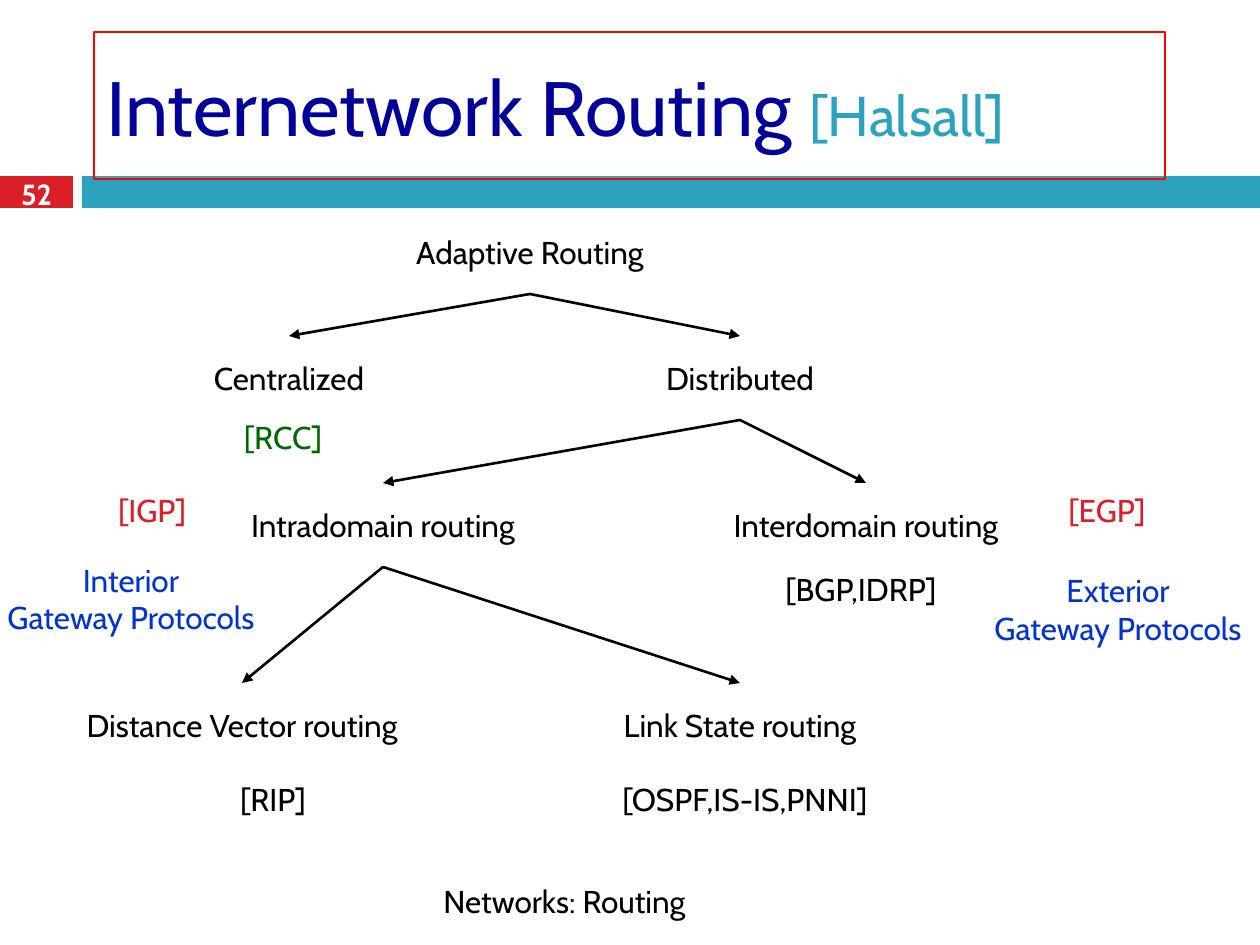
"""Build a slide showing the family tree of internetwork routing methods."""
from dataclasses import dataclass

from pptx import Presentation
from pptx.dml.color import RGBColor
from pptx.enum.shapes import MSO_CONNECTOR, MSO_SHAPE
from pptx.enum.text import MSO_ANCHOR, PP_ALIGN
from pptx.oxml.ns import qn
from pptx.util import Emu, Pt
from lxml import etree

RECTANGLE = MSO_SHAPE.RECTANGLE
STRAIGHT = MSO_CONNECTOR.STRAIGHT
LEFT, CENTER = PP_ALIGN.LEFT, PP_ALIGN.CENTER
TOP, MIDDLE = MSO_ANCHOR.TOP, MSO_ANCHOR.MIDDLE
PX = 914400 // 126
TOP_SIDE, BOTTOM_SIDE = 0, 2


@dataclass(frozen=True)
class Theme:
    font: str = "Cabin"
    black: str = "000000"
    white: str = "FFFFFF"
    red: str = "DA1F28"
    teal: str = "2DA2BF"
    navy: str = "000099"
    blue: str = "0033CC"
    green: str = "006600"
    frame: str = "FF0000"
    title: float = 44
    source: float = 32
    body: float = 18
    number: float = 16.6


THEME = Theme()

BARS = [((0, 176, 73, 32), THEME.red), ((82, 176, 1178, 32), THEME.teal)]
TITLE_BOX = (94, 32, 1071, 147)
TITLE = [("Internetwork Routing ", THEME.title, THEME.navy),
         ("[Halsall]", THEME.source, THEME.teal)]
FOOTER, FOOTER_BOX = "Networks: Routing", (431, 876, 399, 50)
NUMBER, NUMBER_BOX = "52", (0, 173, 73, 42)

NODE_HEIGHT = 84
NODES = {
    "Adaptive Routing": (530, 210, 346),
    "Centralized": (289, 336, 346),
    "Distributed": (740, 336, 346),
    "Intradomain routing": (383, 483, 388),
    "Interdomain routing": (866, 483, 388),
    "Distance Vector routing": (242, 683, 420),
    "Link State routing": (740, 683, 388),
}
BRANCHES = {
    "Adaptive Routing": ("Centralized", "Distributed"),
    "Distributed": ("Interdomain routing", "Intradomain routing"),
    "Intradomain routing": ("Distance Vector routing", "Link State routing"),
}
NOTES = [
    (["[IGP]"], (105, 473, 94, 74), THEME.red),
    (["[EGP]"], (1060, 473, 94, 74), THEME.red),
    (["[BGP,IDRP]"], (735, 557, 252, 63), THEME.black),
    (["[OSPF,IS-IS,PNNI]"], (556, 767, 378, 63), THEME.black),
    (["[RIP]"], (210, 767, 126, 63), THEME.black),
    (["[RCC]"], (220, 410, 126, 53), THEME.green),
    (["Interior", "Gateway Protocols"], (10, 567, 242, 63), THEME.blue),
    (["Exterior", "Gateway Protocols"], (997, 567, 242, 84), THEME.blue),
]


def color(value):
    return RGBColor.from_string(value)


def scale(lengths):
    return [Emu(length * PX) for length in lengths]


def add_box(page, bounds, fill=None, line=None, width=0.75):
    box = page.shapes.add_shape(RECTANGLE, *scale(bounds))
    box.shadow.inherit = False
    if fill:
        box.fill.solid()
        box.fill.fore_color.rgb = color(fill)
    else:
        box.fill.background()
    if line:
        box.line.color.rgb = color(line)
        box.line.width = Pt(width)
    else:
        box.line.fill.background()
    return box


def write(box, lines, align=CENTER, anchor=MIDDLE, wrap=False, bold=False, before=0):
    """Write lines of (text, size, colour) spans into a box."""
    frame = box.text_frame
    frame.word_wrap = wrap
    frame.vertical_anchor = anchor
    for index, spans in enumerate(lines):
        para = frame.add_paragraph() if index else frame.paragraphs[0]
        para.alignment = align
        para.space_before = Pt(before)
        for text, size, tint in spans:
            span = para.add_run()
            span.text = text
            span.font.name = THEME.font
            span.font.size = Pt(size)
            span.font.bold = bold
            span.font.color.rgb = color(tint)


def add_arrow(page, parent, child):
    arrow = page.shapes.add_connector(STRAIGHT, 0, 0, 0, 0)
    arrow.begin_connect(parent, BOTTOM_SIDE)
    arrow.end_connect(child, TOP_SIDE)
    arrow.line.color.rgb = color(THEME.black)
    arrow.line.width = Pt(1.5)
    etree.SubElement(arrow.line._get_or_add_ln(), qn("a:tailEnd"), type="triangle")
    etree.SubElement(arrow._element.spPr, qn("a:effectLst"))


def add_header_and_footer(page):
    for bounds, fill in BARS:
        add_box(page, bounds, fill)
    footer = page.shapes.add_textbox(*scale(FOOTER_BOX))
    write(footer, [[(FOOTER, THEME.body, THEME.black)]], align=LEFT, anchor=TOP, wrap=True)
    number = page.shapes.add_textbox(*scale(NUMBER_BOX))
    write(number, [[(NUMBER, THEME.number, THEME.white)]], wrap=True, bold=True)
    write(add_box(page, TITLE_BOX, line=THEME.frame), [TITLE], align=LEFT, wrap=True)


def add_tree(page):
    boxes = {}
    for name, (center, top, width) in NODES.items():
        bounds = (center - width // 2, top, width, NODE_HEIGHT)
        boxes[name] = add_box(page, bounds, THEME.white, THEME.white)
        write(boxes[name], [[(name, THEME.body, THEME.black)]], before=0.2 * THEME.body)
    for parent, children in BRANCHES.items():
        for child in children:
            add_arrow(page, boxes[parent], boxes[child])


def add_notes(page):
    for lines, bounds, tint in NOTES:
        box = add_box(page, bounds, THEME.white, THEME.white, 1.5)
        write(box, [[(text, THEME.body, tint)] for text in lines])


def main():
    deck = Presentation()
    deck.slide_width, deck.slide_height = scale((1260, 945))
    page = deck.slides.add_slide(deck.slide_layouts[6])
    add_header_and_footer(page)
    add_tree(page)
    add_notes(page)
    deck.save("out.pptx")


if __name__ == "__main__":
    main()
